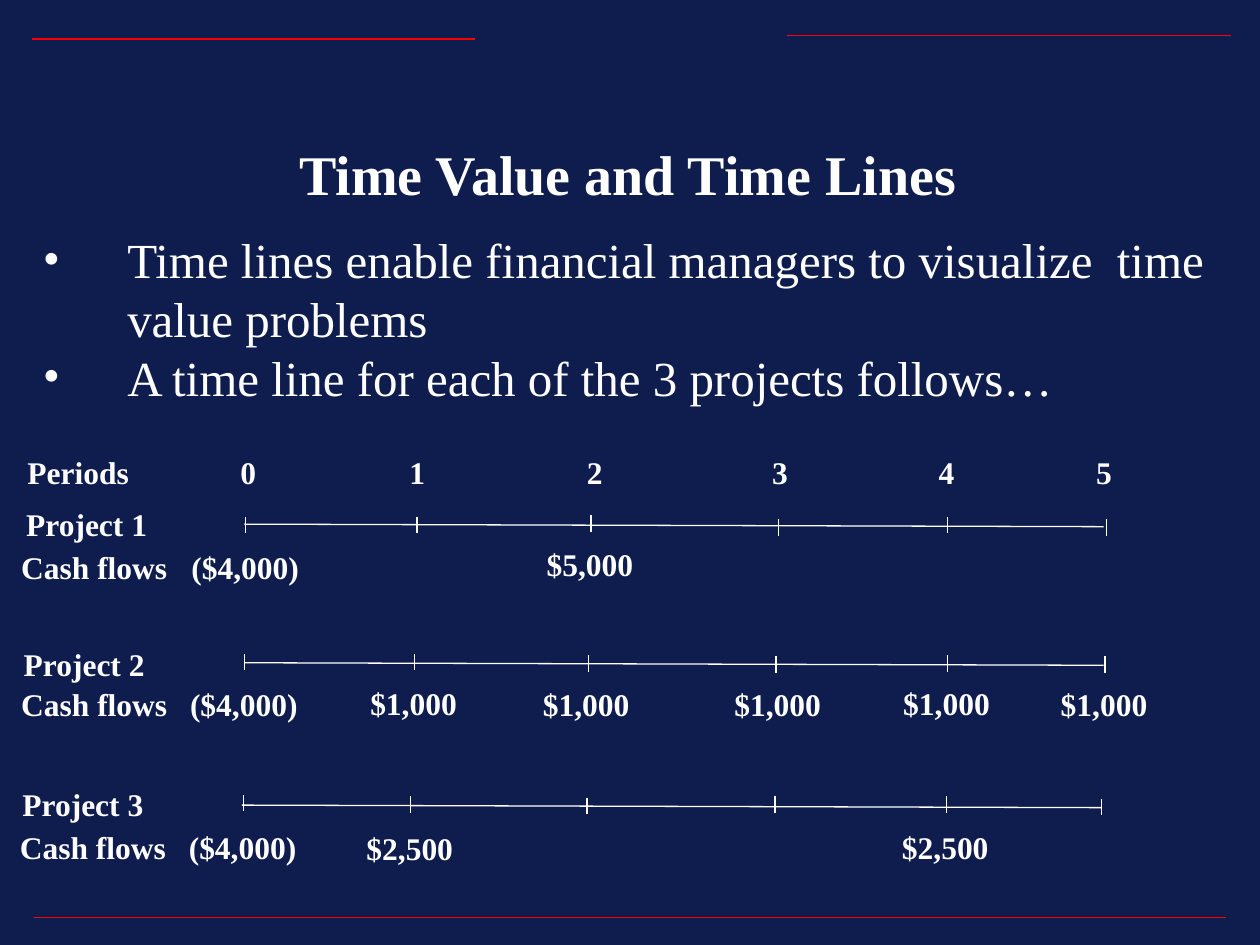
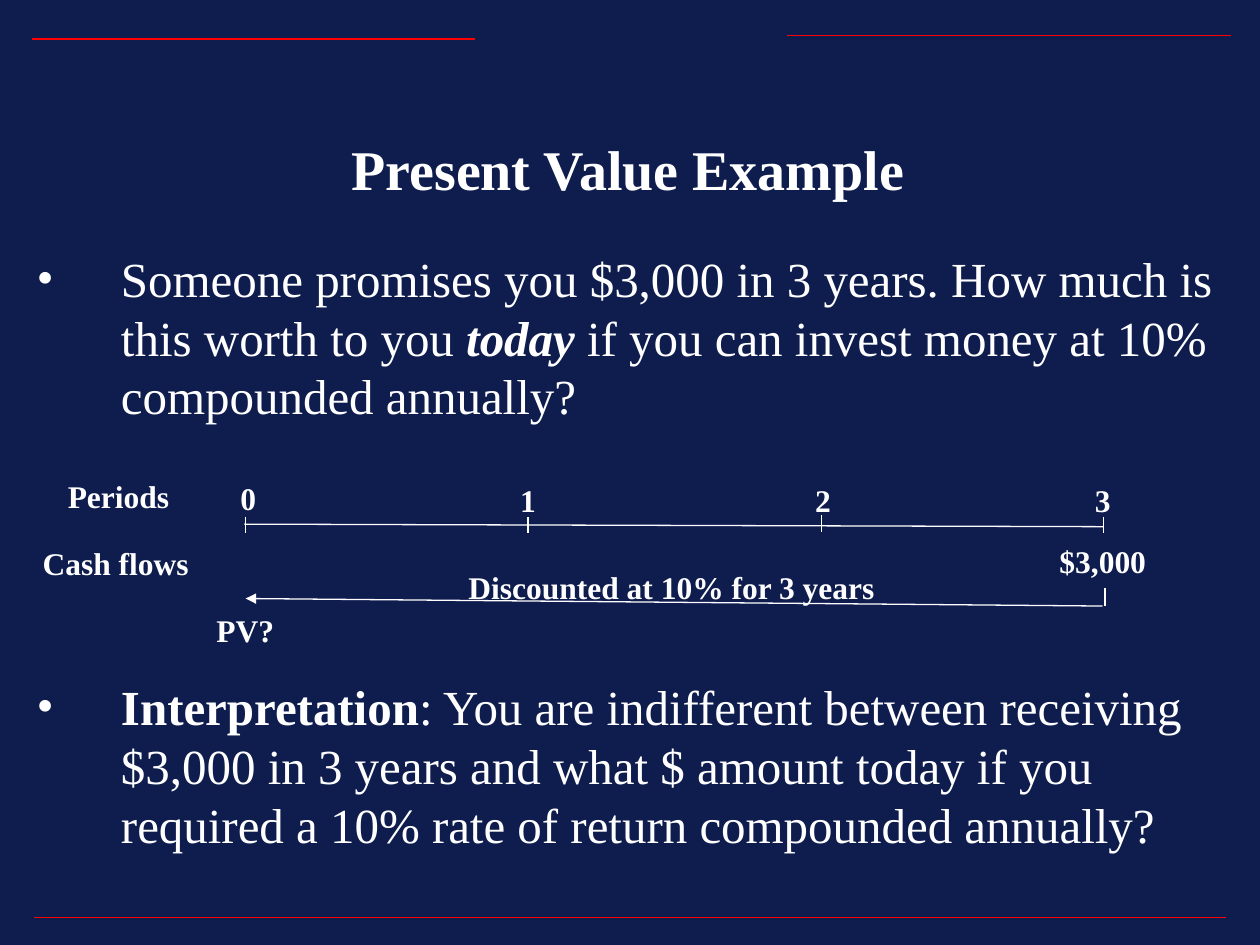
from dataclasses import dataclass

from lxml import etree
from pptx import Presentation
from pptx.dml.color import RGBColor
from pptx.enum.shapes import MSO_CONNECTOR
from pptx.enum.text import MSO_ANCHOR, MSO_AUTO_SIZE, PP_ALIGN
from pptx.oxml.ns import qn
from pptx.util import Inches, Pt

STRAIGHT = MSO_CONNECTOR.STRAIGHT
TOP = MSO_ANCHOR.TOP
NO_AUTOFIT = MSO_AUTO_SIZE.NONE
LEFT, CENTER = PP_ALIGN.LEFT, PP_ALIGN.CENTER

COLORS = {"background": "0F1D4E", "text": "FFFFFF", "rule": "FF0000"}
FONT = "Times New Roman"
HANGING = Inches(0.67)
AXIS_LENGTH, AXIS_DROP, TICK_HEIGHT = 6.82, 0.02, 0.13
LABEL_HEIGHT = 0.4
PERIOD_WIDTH, INFLOW_WIDTH, OUTFLOW_WIDTH = 0.32, 0.89, 1.05
HEADING_WIDTH, PROJECT_WIDTH, CASH_WIDTH = 1.0, 1.16, 1.36


@dataclass(frozen=True)
class Line:
    x1: float
    y1: float
    x2: float
    y2: float
    color: str = "text"
    arrow: bool = False


@dataclass(frozen=True)
class Label:
    text: str
    left: float
    top: float
    width: float


@dataclass(frozen=True)
class Run:
    text: str
    bold: bool = False
    italic: bool = False


@dataclass(frozen=True)
class Bullet:
    runs: tuple[Run, ...]
    space_before: float = 0


@dataclass(frozen=True)
class TimeLine:
    left: float
    top: float
    ticks: tuple[tuple[float, float], ...]


@dataclass(frozen=True)
class Project:
    name: Label
    cash_heading: Label
    time_line: TimeLine
    cash_flows: tuple[Label, ...]


FRAME_RULES = (
    Line(9.73, 7.28, 0.27, 7.28, "rule"),
    Line(3.77, 0.31, 0.25, 0.31, "rule"),
    Line(9.77, 0.28, 6.25, 0.28, "rule"),
)

PROJECTS = (
    Project(
        Label("Project 1", 0.11, 3.96, PROJECT_WIDTH),
        Label("Cash flows", 0.07, 4.3, CASH_WIDTH),
        TimeLine(1.94, 4.16, ((1.95, 4.1), (3.31, 4.1), (4.69, 4.09),
                              (6.18, 4.12), (7.52, 4.1), (8.78, 4.12))),
        (Label("($4,000)", 1.42, 4.3, OUTFLOW_WIDTH),
         Label("$5,000", 4.24, 4.28, INFLOW_WIDTH)),
    ),
    Project(
        Label("Project 2", 0.09, 5.07, PROJECT_WIDTH),
        Label("Cash flows", 0.07, 5.39, CASH_WIDTH),
        TimeLine(1.94, 5.26, ((1.94, 5.19), (3.29, 5.19), (4.67, 5.2),
                              (6.16, 5.21), (7.52, 5.2), (8.77, 5.21))),
        (Label("($4,000)", 1.41, 5.39, OUTFLOW_WIDTH),
         *(Label("$1,000", left, top, INFLOW_WIDTH) for left, top in
           ((2.84, 5.38), (4.21, 5.39), (5.73, 5.39), (7.07, 5.38), (8.32, 5.39)))),
    ),
    Project(
        Label("Project 3", 0.08, 6.18, PROJECT_WIDTH),
        Label("Cash flows", 0.06, 6.52, CASH_WIDTH),
        TimeLine(1.92, 6.39, ((1.93, 6.31), (3.26, 6.32), (4.66, 6.33),
                              (6.15, 6.32), (7.51, 6.32), (8.74, 6.34))),
        (Label("($4,000)", 1.4, 6.52, OUTFLOW_WIDTH),
         Label("$2,500", 2.81, 6.53, INFLOW_WIDTH),
         Label("$2,500", 7.06, 6.52, INFLOW_WIDTH)),
    ),
)


def write_text(paragraph, text: str, *, size: float = 18, bold: bool = False,
               italic: bool = False, color: str = "text", align=LEFT) -> None:
    paragraph.alignment = align
    run = paragraph.add_run()
    run.text = text
    font = run.font
    font.name, font.size, font.bold, font.italic = FONT, Pt(size), bold, italic
    font.color.rgb = RGBColor.from_string(COLORS[color])


def place(shape, left: float, top: float, width: float, height: float) -> None:
    shape.left, shape.top = Inches(left), Inches(top)
    shape.width, shape.height = Inches(width), Inches(height)
    shape.text_frame.auto_size = NO_AUTOFIT
    shape.text_frame.vertical_anchor = TOP


def draw_line(slide, line: Line) -> None:
    connector = slide.shapes.add_connector(
        STRAIGHT, Inches(line.x1), Inches(line.y1), Inches(line.x2), Inches(line.y2))
    connector.line.color.rgb = RGBColor.from_string(COLORS[line.color])
    connector.line.width = Pt(0.75)
    if line.arrow:
        etree.SubElement(connector.line._get_or_add_ln(), qn("a:tailEnd"), type="triangle")
    etree.SubElement(connector._element.spPr, qn("a:effectLst"))


def draw_label(slide, label: Label) -> None:
    box = slide.shapes.add_textbox(0, 0, 0, 0)
    place(box, label.left, label.top, label.width, LABEL_HEIGHT)
    box.text_frame.word_wrap = False
    write_text(box.text_frame.paragraphs[0], label.text, bold=True)


def draw_time_line(slide, time_line: TimeLine) -> None:
    draw_line(slide, Line(time_line.left, time_line.top,
                          time_line.left + AXIS_LENGTH, time_line.top + AXIS_DROP))
    for x, top in time_line.ticks:
        draw_line(slide, Line(x, top, x, top + TICK_HEIGHT))


def draw_periods(slide, places: tuple[tuple[float, float], ...]) -> None:
    for period, (left, top) in enumerate(places):
        draw_label(slide, Label(str(period), left, top, PERIOD_WIDTH))


def write_bullets(body, bullets: tuple[Bullet, ...]) -> None:
    frame = body.text_frame
    for index, bullet in enumerate(bullets):
        paragraph = frame.add_paragraph() if index else frame.paragraphs[0]
        paragraph.space_before = Pt(bullet.space_before)
        properties = paragraph._p.get_or_add_pPr()
        properties.set("marL", str(HANGING))
        properties.set("indent", str(-HANGING))
        bullet_color = etree.SubElement(properties, qn("a:buClr"))
        etree.SubElement(bullet_color, qn("a:srgbClr"), val=COLORS["text"])
        etree.SubElement(properties, qn("a:buFont"), typeface=FONT)
        etree.SubElement(properties, qn("a:buChar"), char="•")
        for run in bullet.runs:
            write_text(paragraph, run.text, size=28, bold=run.bold, italic=run.italic)


def add_slide(prs, title: str, title_top: float, bullets: tuple[Bullet, ...],
              body_area: tuple[float, float, float, float]):
    slide = prs.slides.add_slide(prs.slide_layouts[1])
    heading, body = slide.shapes.title, slide.placeholders[1]
    place(heading, 0.28, title_top, 9.41, 0.64)
    write_text(heading.text_frame.paragraphs[0], title, size=32, bold=True, align=CENTER)
    place(body, *body_area)
    write_bullets(body, bullets)
    for rule in FRAME_RULES:
        draw_line(slide, rule)
    return slide


def build_time_lines(prs) -> None:
    bullets = (
        Bullet((Run("Time lines enable financial managers to visualize  time value problems"),)),
        Bullet((Run("A time line for each of the 3 projects follows…"),)),
    )
    slide = add_slide(prs, "Time Value and Time Lines", 1.06, bullets, (0.24, 1.77, 9.55, 1.5))
    periods_top = 3.55
    draw_label(slide, Label("Periods", 0.12, periods_top, HEADING_WIDTH))
    draw_periods(slide, tuple((left, periods_top)
                              for left in (1.81, 3.15, 4.56, 6.03, 7.35, 8.6)))
    for project in PROJECTS:
        draw_time_line(slide, project.time_line)
        for label in (project.name, project.cash_heading, *project.cash_flows):
            draw_label(slide, label)


def build_present_value(prs) -> None:
    bullets = (
        Bullet((Run("Someone promises you $3,000 in 3 years. How much is this worth to you "),
                Run("today", bold=True, italic=True),
                Run(" if you can invest money at 10% compounded annually?"))),
        Bullet((Run("Interpretation", bold=True),
                Run(": You are indifferent between receiving $3,000 in 3 years and what "
                    "$ amount today if you required a 10% rate of return compounded "
                    "annually?")), space_before=144),
    )
    slide = add_slide(prs, "Present Value Example", 1.02, bullets, (0.19, 1.92, 9.59, 4.9))
    draw_time_line(slide, TimeLine(1.94, 4.16, ((1.95, 4.1), (4.19, 4.1),
                                                (6.52, 4.09), (8.76, 4.1))))
    draw_periods(slide, ((1.81, 3.75), (4.03, 3.77), (6.37, 3.77), (8.59, 3.77)))
    draw_line(slide, Line(8.75, 4.81, 1.95, 4.75, arrow=True))
    draw_line(slide, Line(8.77, 4.67, 8.77, 4.81))
    for label in (
        Label("Periods", 0.44, 3.74, HEADING_WIDTH),
        Label("Cash flows", 0.24, 4.27, CASH_WIDTH),
        Label("$3,000", 8.31, 4.25, INFLOW_WIDTH),
        Label("Discounted at 10% for 3 years", 3.62, 4.46, 3.43),
        Label("PV?", 1.62, 4.8, 0.66),
    ):
        draw_label(slide, label)


def main() -> None:
    prs = Presentation()
    prs.slide_width, prs.slide_height = Inches(10), Inches(7.5)
    background = prs.slide_master.background.fill
    background.solid()
    background.fore_color.rgb = RGBColor.from_string(COLORS["background"])
    build_time_lines(prs)
    build_present_value(prs)
    prs.save("out.pptx")


if __name__ == "__main__":
    main()
